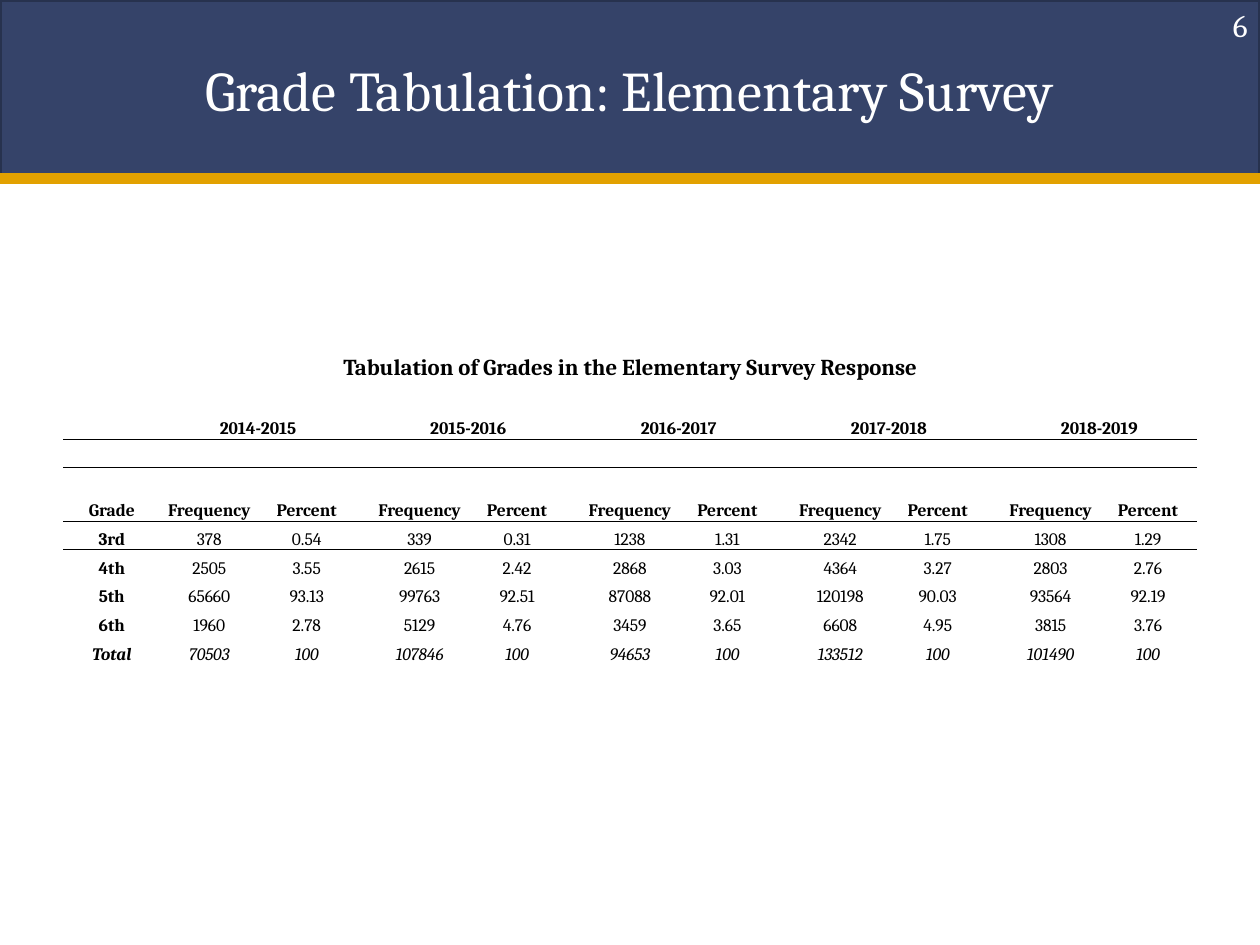
from lxml import etree
from pptx import Presentation
from pptx import util as u
from pptx.dml import color
from pptx.enum import shapes, text
from pptx.oxml import ns

Pt = u.Pt
NAVY, EDGE, GOLD, WHITE, BLACK = "354369", "27324E", "E2A100", "FFFFFF", "000000"
NO_STYLE = "{2D5ABB26-0587-4C30-8999-92F81FD0307C}"


def rgb(value):
    return color.RGBColor.from_string(value)


class Slide:
    """Style and element builders for the current slide."""

    font = "Cambria"

    def __init__(self, page):
        self.page = page

    def style(self, para, size, ink, align, bold=False, italic=False):
        para.alignment = align
        for span in para.runs:
            span.font.name = self.font
            span.font.size = Pt(size)
            span.font.color.rgb = rgb(ink)
            span.font.bold = bold
            span.font.italic = italic
        if not para.runs:
            etree.SubElement(para._p, ns.qn("a:endParaRPr"), sz=str(size * 100))

    def rectangle(self, left, top, width, height, fill, edge, weight):
        box = self.page.shapes.add_shape(
            shapes.MSO_SHAPE.RECTANGLE, Pt(left), Pt(top), Pt(width), Pt(height))
        box.shadow.inherit = False
        box.fill.solid()
        box.fill.fore_color.rgb = rgb(fill)
        box.line.color.rgb = rgb(edge)
        box.line.width = Pt(weight)

    def line(self, x1, y1, x2, y2, ink, weight):
        rule = self.page.shapes.add_connector(
            shapes.MSO_CONNECTOR.STRAIGHT, Pt(x1), Pt(y1), Pt(x2), Pt(y2))
        rule.line.color.rgb = rgb(ink)
        rule.line.width = Pt(weight)
        etree.SubElement(rule._element.spPr, ns.qn("a:effectLst"))

    def label(self, left, top, width, height, words, size, ink, align):
        box = self.page.shapes.add_textbox(Pt(left), Pt(top), Pt(width), Pt(height))
        frame = box.text_frame
        frame.word_wrap = True
        frame.vertical_anchor = text.MSO_ANCHOR.MIDDLE
        frame.text = words
        self.style(frame.paragraphs[0], size, ink, align)

    def table(self, left, top, widths, heights):
        frame = self.page.shapes.add_table(
            len(heights), len(widths), Pt(left), Pt(top), Pt(sum(widths)), Pt(sum(heights)))
        table = frame.table
        table.first_row = table.horz_banding = False
        table._tbl.find(".//" + ns.qn("a:tableStyleId")).text = NO_STYLE
        for column, width in zip(table.columns, widths):
            column.width = Pt(width)
        for row, height in zip(table.rows, heights):
            row.height = Pt(height)
        return table

    def cell(self, cell, words, size=10, bold=False, italic=False):
        cell.fill.background()
        cell.vertical_anchor = text.MSO_ANCHOR.BOTTOM
        cell.margin_left = cell.margin_right = cell.margin_top = Pt(0.7)
        cell.margin_bottom = 0
        cell.text = words
        self.style(cell.text_frame.paragraphs[0], size, BLACK,
                   text.PP_ALIGN.CENTER, bold, italic)

    def border(self, cell, side, ink=BLACK, weight=0.5):
        edge = etree.Element(ns.qn("a:ln" + side), w=str(Pt(weight)))
        fill = etree.SubElement(edge, ns.qn("a:solidFill"))
        etree.SubElement(fill, ns.qn("a:srgbClr"), val=ink)
        cell._tc.get_or_add_tcPr().insert(0, edge)


YEARS = ["2014-2015", "2015-2016", "2016-2017", "2017-2018", "2018-2019"]
GRADES = {
    "3rd": [("378", "0.54"), ("339", "0.31"), ("1238", "1.31"),
            ("2342", "1.75"), ("1308", "1.29")],
    "4th": [("2505", "3.55"), ("2615", "2.42"), ("2868", "3.03"),
            ("4364", "3.27"), ("2803", "2.76")],
    "5th": [("65660", "93.13"), ("99763", "92.51"), ("87088", "92.01"),
            ("120198", "90.03"), ("93564", "92.19")],
    "6th": [("1960", "2.78"), ("5129", "4.76"), ("3459", "3.65"),
            ("6608", "4.95"), ("3815", "3.76")],
    "Total": [("70503", "100"), ("107846", "100"), ("94653", "100"),
              ("133512", "100"), ("101490", "100")],
}


def spread(first, pairs):
    cells = [first]
    for pair in pairs:
        cells += [*pair, ""]
    return cells[:-1]


deck = Presentation()
deck.slide_width, deck.slide_height = Pt(720), Pt(540)
slide = Slide(deck.slides.add_slide(deck.slide_layouts[6]))

slide.rectangle(0, 0, 720, 102, NAVY, EDGE, 2)
slide.line(-1.5, 102, 722, 102, GOLD, 6)
slide.label(36, 6, 648, 90, "Grade Tabulation: Elementary Survey", 32, WHITE,
            text.PP_ALIGN.CENTER)

GAP = 8.8
WIDE = (648 - 4 * GAP) / 11
widths = [WIDE] + ([WIDE, WIDE, GAP] * 5)[:-1]
ROW = 16.46
heights = [20] + [ROW] * 3 + [30.4] + [ROW] * 5
blank = [""] * len(widths)
rows = [
    ["Tabulation of Grades in the Elementary Survey Response"] + blank[1:],
    blank,
    spread("", [(year, "") for year in YEARS]),
    blank,
    spread("Grade", [("Frequency", "Percent")] * len(YEARS)),
] + [spread(grade, pairs) for grade, pairs in GRADES.items()]

table = slide.table(36, 198, widths, heights)
RULES = {2: "B", 3: "T", 4: "B", 5: "T"}
for r, row in enumerate(rows):
    for c, words in enumerate(row):
        cell = table.cell(r, c)
        slide.cell(cell, words, size=13 if r == 0 else 10,
                   bold=r < 5 or c == 0, italic=row[0] == "Total")
        if r in RULES:
            slide.border(cell, RULES[r])

table.cell(0, 0).merge(table.cell(0, len(widths) - 1))
for c in range(1, len(widths), 3):
    table.cell(2, c).merge(table.cell(2, c + 1))

slide.label(552, 0, 168, 29, "6", 18, WHITE, text.PP_ALIGN.RIGHT)

deck.save("out.pptx")
